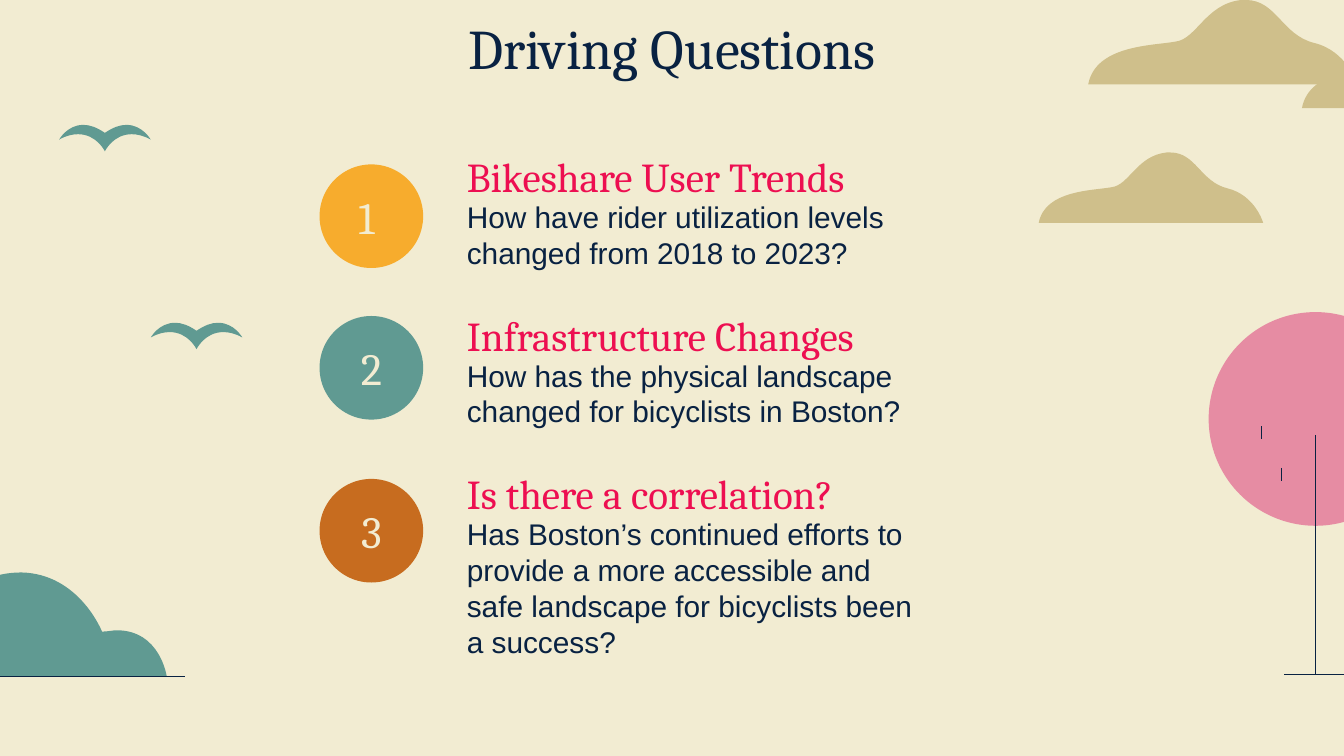
from lxml import etree
from pptx import Presentation
from pptx.dml.color import RGBColor
from pptx.enum import shapes, text
from pptx.oxml import ns
from pptx.util import Pt

# Content
TITLE = "Driving Questions"
QUESTIONS = [  # number, circle top, circle colour, heading, question, height
    ("1 ", 88.1, "F7AC2D", "Bikeshare User Trends",
     "How have rider utilization levels changed from 2018 to 2023?", 45.4),
    ("2", 169.3, "609A92", "Infrastructure Changes",
     "How has the physical landscape changed for bicyclists in Boston?", 45.4),
    ("3", 256.6, "C76C1F", "Is there a correlation?",
     "Has Boston’s continued efforts to provide a more accessible and "
     "safe landscape for bicyclists been a success?", 88.6),
]
NAVY, TEAL, SAND = "092242", "609A92", "CFBF8B"
CREAM, PINK, ROSE = "F2ECD2", "ED0F51", "E68CA3"
TITLE_FORMAT = dict(size=Pt(30), name="Cambria", bold=False)
HEADING_FORMAT = dict(size=Pt(22), name="Cambria")
QUESTION_FORMAT = dict(size=Pt(16), name="Arial")
NUMBER_FORMAT = dict(size=Pt(24), name="Cambria")

# Outlines: a pair is a corner, six numbers are a Bezier curve
CLOUD = [(84.5, 0), (83.8, 0, 83, 0, 82, 0), (63, 2, 58, 21, 46.8, 22.3),
         (35, 24.5, 4, 24, 0, 45.2), (144, 45.2),
         (144, 45.2, 139, 27.4, 121, 23), (103.7, 18.7, 100.8, 0, 84.5, 0)]
BIRD = [(13, 0), (4.3, 0, 0, 7.9, 0, 7.9), (3.6, 5.8, 7.2, 5, 10.1, 5),
        (20.2, 5, 24.5, 14.2, 24.5, 14.2), (24.5, 14.2, 28.8, 5, 38.9, 5),
        (41.8, 5, 45.4, 5.8, 49, 7.9), (49, 7.9, 44.7, 0, 36, 0),
        (32.4, 0, 28.8, 1.4, 24.5, 4.3), (20.2, 1.4, 16.6, 0, 13, 0)]
BUSH = [(83.5, 0), (54, 0, 42.5, 23, 42.5, 23), (42.5, 23, 2, 24.5, 0, 55.4),
        (161.3, 55.4), (161.3, 55.4, 157.7, 31, 134.6, 31),
        (132.5, 31, 129.6, 31.7, 126.7, 31.7),
        (126.7, 31.7, 114.5, 0.7, 83.5, 0)]
SCENERY = [  # outline, left, top, scale, colour
    (CLOUD, 697.5, 12.7, 1, SAND), (CLOUD, 583, 0, 1, SAND),
    (CLOUD, 556.5, 81.7, 0.835, SAND),
    (BIRD, 31.7, 66.9, 1, TEAL), (BIRD, 80.8, 172.9, 1, TEAL),
    (BUSH, -72, 306.7, 1, TEAL),
]
LINES = [  # trunk, ground, two twigs, ground under the bush
    (704.7, 233, 704.7, 361.2), (688, 361.2, 720, 361.2),
    (675.8, 228.4, 675.8, 235.2), (686.3, 250.7, 686.3, 257.6),
    (-84, 362.3, 99, 362.3),
]


def color(value):
    return RGBColor.from_string(value)


def paint(sp, fill):
    sp.shadow.inherit = False
    sp.fill.solid()
    sp.fill.fore_color.rgb = color(fill)
    sp.line.fill.background()


def write(sp, words, fmt, ink, align, anchor=text.MSO_ANCHOR.TOP, margin=7.2):
    tf = sp.text_frame
    frame = dict(word_wrap=True, auto_size=text.MSO_AUTO_SIZE.NONE,
                 vertical_anchor=anchor)
    for side in ("left", "top", "right", "bottom"):
        frame["margin_" + side] = Pt(margin)
    for key, value in frame.items():
        setattr(tf, key, value)
    p = tf.paragraphs[0]
    p.alignment = align
    r = p.add_run()
    r.text = words
    for key, value in fmt.items():
        setattr(r.font, key, value)
    r.font.color.rgb = color(ink)


def draw(outline, left, top, scale):
    """Build a freeform, then join each curve's three points into a Bezier."""
    points = [(Pt(left + scale * x), Pt(top + scale * y))
              for part in outline for x, y in zip(part[::2], part[1::2])]
    builder = s.shapes.build_freeform(*points[0])
    builder.add_line_segments(points[1:], close=True)
    sp = builder.convert_to_shape()
    segments = iter(list(sp._element.iter(ns.qn("a:lnTo"))))
    for part in outline[1:]:
        first = next(segments)
        if len(part) == 6:
            first.tag = ns.qn("a:cubicBezTo")
            for _ in range(2):
                extra = next(segments)
                first.append(extra[0])
                extra.getparent().remove(extra)
    return sp


def box(left, top, width, height):
    return Pt(left), Pt(top), Pt(width), Pt(height)


prs = Presentation()
prs.slide_width, prs.slide_height = Pt(720), Pt(405)
s = prs.slides.add_slide(prs.slide_layouts[5])
s.background.fill.solid()
s.background.fill.fore_color.rgb = color(CREAM)
OVAL = shapes.MSO_SHAPE.OVAL
LEFT, CENTER = text.PP_ALIGN.LEFT, text.PP_ALIGN.CENTER

# Scenery
crown = s.shapes.add_shape(OVAL, *box(647.5, 167.2, 114.5, 114.5))
paint(crown, ROSE)
for outline, left, top, scale, fill in SCENERY:
    paint(draw(outline, left, top, scale), fill)
for ends in LINES:
    line = s.shapes.add_connector(shapes.MSO_CONNECTOR.STRAIGHT, *map(Pt, ends))
    line.line.width = Pt(0.54)
    line.line.color.rgb = color(NAVY)
    etree.SubElement(line._element.spPr, ns.qn("a:effectLst"))

# Title
title = s.shapes.title
title.left, title.top, title.width, title.height = box(0, 0, 720, 37.5)
write(title, TITLE, TITLE_FORMAT, NAVY, CENTER)

# Numbered questions
for i, (number, circle_top, fill, heading, question, height) in enumerate(
        QUESTIONS):
    circle = s.shapes.add_shape(OVAL, *box(171.2, circle_top, 55.5, 55.5))
    paint(circle, fill)
    write(circle, number, NUMBER_FORMAT, CREAM, CENTER,
          text.MSO_ANCHOR.MIDDLE, margin=0)
    top = 74 + 85 * i
    sp = s.shapes.add_textbox(*box(243, top, 297.5, 37.5))
    write(sp, heading, HEADING_FORMAT, PINK, LEFT)
    sp = s.shapes.add_textbox(*box(243, top + 25.2, 258.5, height))
    write(sp, question, QUESTION_FORMAT, NAVY, LEFT)

prs.save("out.pptx")
